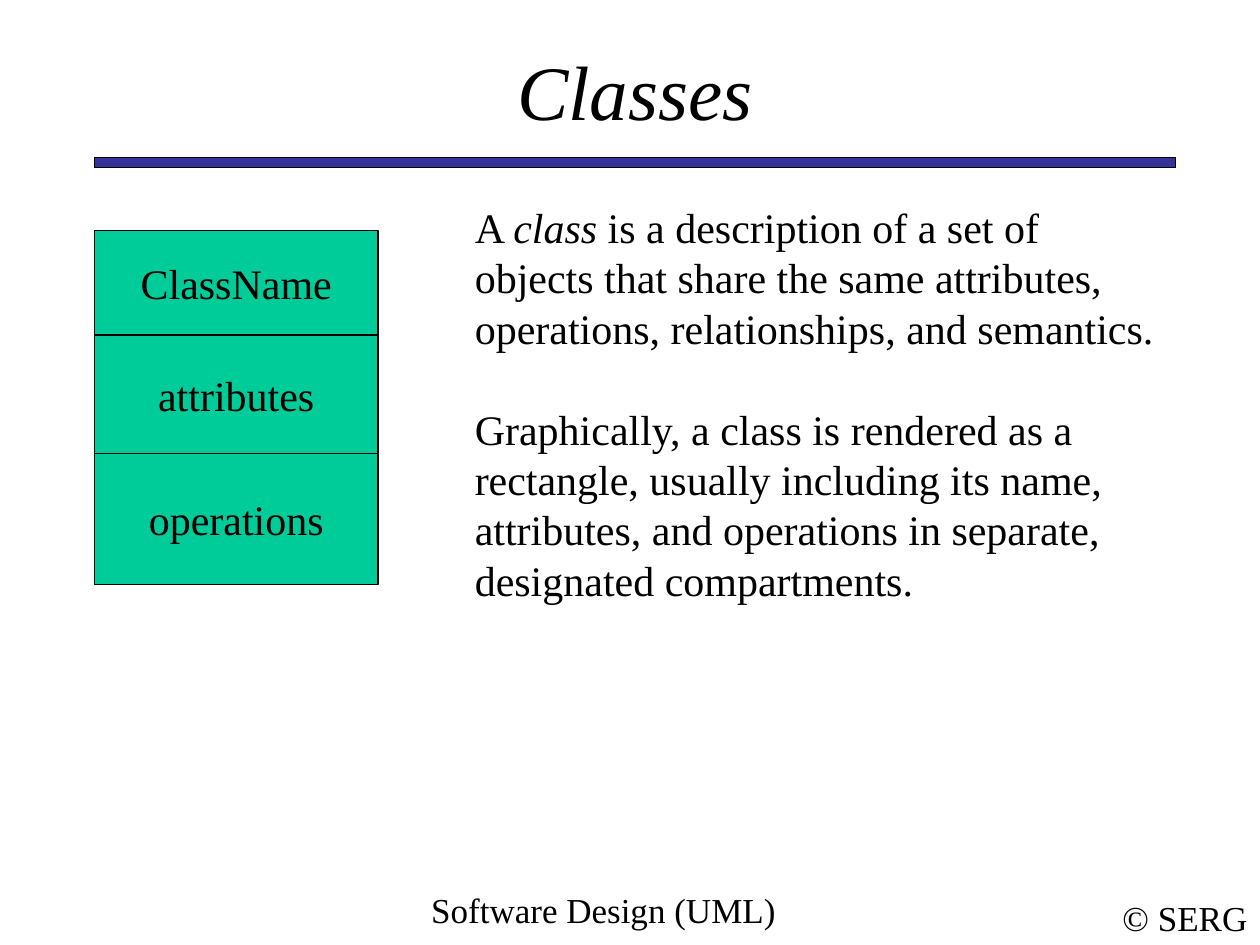
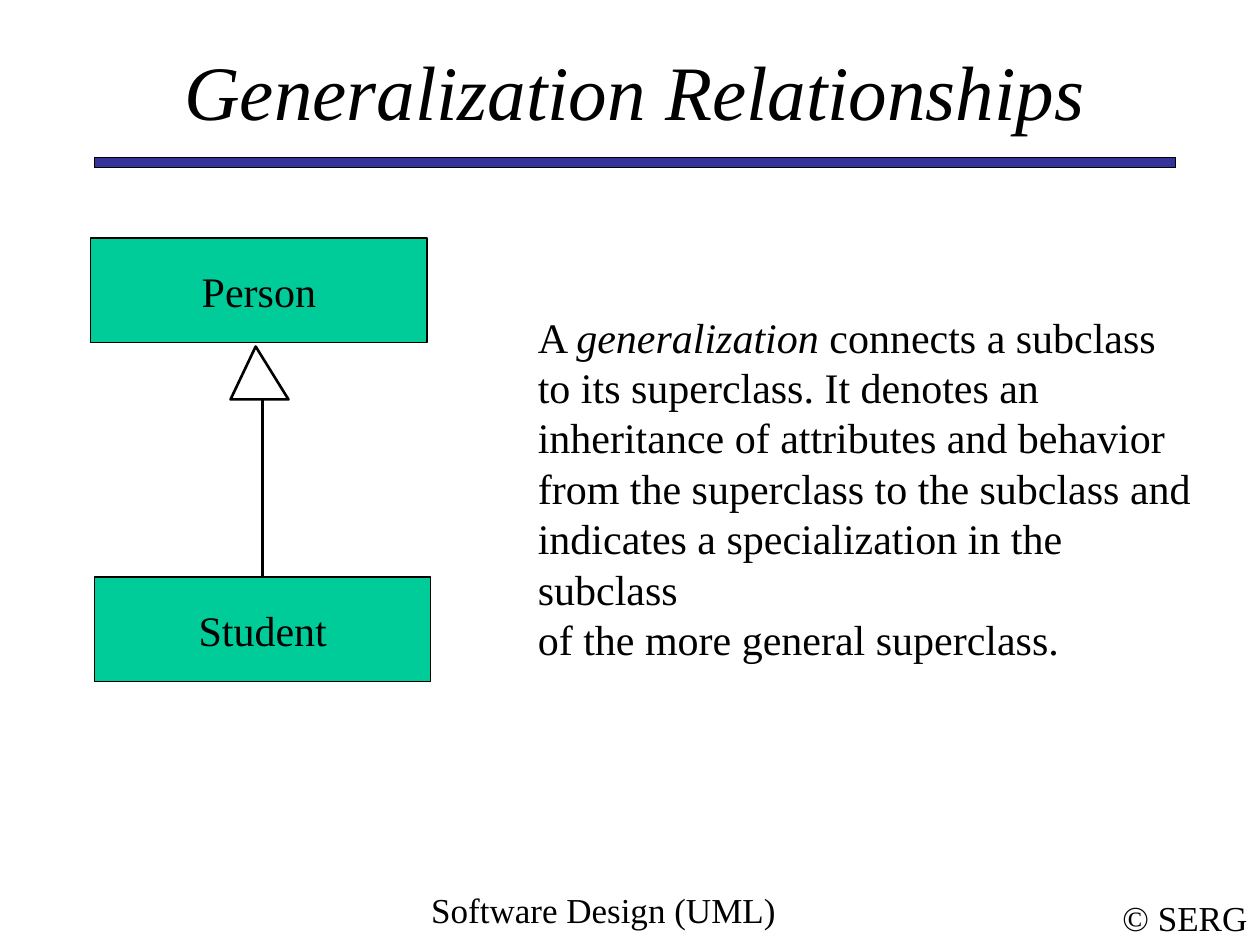
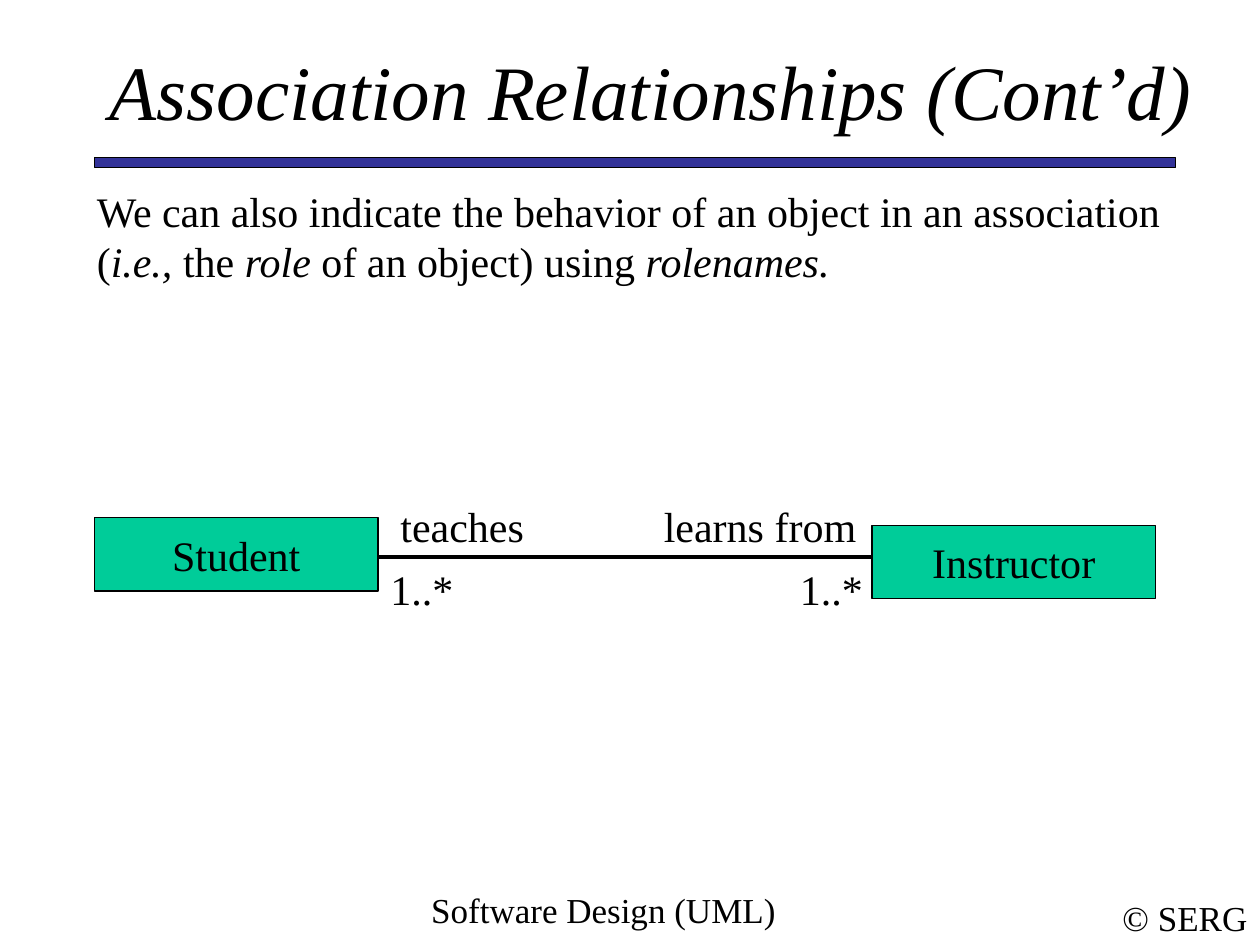
from lxml.etree import SubElement
from pptx import Presentation
from pptx.dml.color import RGBColor
from pptx.enum.shapes import MSO_CONNECTOR as Connector, MSO_SHAPE as Shape
from pptx.enum.text import MSO_ANCHOR as Anchor, MSO_AUTO_SIZE as AutoSize, PP_ALIGN as Align
from pptx.oxml.ns import qn
from pptx.util import Inches, Pt

# Shared look
FONT = "Times New Roman"
BLACK, WHITE, NAVY, GREEN = "000000", "FFFFFF", "333399", "00CC99"
TITLE_SIZE, BODY_SIZE, FOOTER_SIZE = 44, 24, 20
BLANK_LINE = 28.8
LEFT, WIDTH = 0.75, 8.58
TITLE_TOP, TITLE_HEIGHT = 0.42, 0.58
BAND = (LEFT, 1.25, WIDTH, 0.08)
COURSE = ("Software Design (UML)", (2.58, 7, 4.42, 0.5))
COPYRIGHT = ("© SERG", (8.81, 7.07, 1.19, 0.43))

# Content: _underscores_ mark italics, "" leaves a line free
CLASS_TEXT = [
    "A _class_ is a description of a set of",
    "objects that share the same attributes,",
    "operations, relationships, and semantics.",
    "",
    "Graphically, a class is rendered as a",
    "rectangle, usually including its name,",
    "attributes, and operations in separate,",
    "designated compartments.",
]
COMPARTMENTS = [("ClassName", 0.83), ("attributes", 0.94), ("operations", 1.04)]

GENERALIZATION_TEXT = [
    "A _generalization_ connects a subclass",
    "to its superclass. It denotes an",
    "inheritance of attributes and behavior",
    "from the superclass to the subclass and",
    "indicates a specialization in the subclass",
    "of the more general superclass.",
]

ROLE_TEXT = [
    "We can also indicate the behavior of an object in an association "
    "(_i.e.,_ the _role _of an object) using _rolenames._"
]
ROLES = [("Instructor", 6.92, 4.17), ("Student", LEFT, 4.11)]
ASSOCIATION_Y = 4.42
LABEL_HEIGHT = 0.5
# text, left, width, rows above the association line
ROLE_LABELS = [
    ("1..*", 6.25, 0.75, 0),
    ("1..*", 3, 0.75, 0),
    ("learns from", 5.17, 1.75, 1),
    ("teaches", 3.08, 1.25, 1),
]


def color(hex_code):
    return RGBColor.from_string(hex_code)


def inches(lengths):
    return [Inches(length) for length in lengths]


def write(frame, lines, size=BODY_SIZE, align=Align.LEFT, italic=False):
    paragraph, gap = None, 0
    for line in lines:
        if not line:
            gap += BLANK_LINE
            continue
        paragraph = frame.add_paragraph() if paragraph else frame.paragraphs[0]
        paragraph.alignment = align
        if gap:
            paragraph.space_before, gap = Pt(gap), 0
        for position, words in enumerate(line.split("_")):
            if words:
                run = paragraph.add_run()
                run.text = words
                run.font.name, run.font.size = FONT, Pt(size)
                run.font.color.rgb = color(BLACK)
                run.font.italic = italic or position % 2 == 1


def add_text(slide, lines, box, wrap=True, anchor=Anchor.TOP, **style):
    frame = slide.shapes.add_textbox(*inches(box)).text_frame
    frame.word_wrap, frame.vertical_anchor = wrap, anchor
    write(frame, lines, **style)


def paint(shape, fill, line_width=0.75):
    shape.shadow.inherit = False
    shape.fill.solid()
    shape.fill.fore_color.rgb = color(fill)
    shape.line.color.rgb = color(BLACK)
    shape.line.width = Pt(line_width)


def add_box(slide, box, fill=GREEN, label=None):
    rectangle = slide.shapes.add_shape(Shape.RECTANGLE, *inches(box))
    paint(rectangle, fill)
    if label:
        frame = rectangle.text_frame
        frame.word_wrap, frame.vertical_anchor = False, Anchor.MIDDLE
        write(frame, [label], align=Align.CENTER)
    return rectangle


def add_line(slide, start, end, width):
    line = slide.shapes.add_connector(Connector.STRAIGHT, *inches(start + end))
    line.line.color.rgb = color(BLACK)
    line.line.width = Pt(width)
    SubElement(line._element.spPr, qn("a:effectLst"))
    return line


def add_slide(deck, heading, left=LEFT, width=WIDTH):
    """Title, band and footers common to every slide."""
    slide = deck.slides.add_slide(deck.slide_layouts[5])
    add_box(slide, BAND, NAVY)
    text, box = COPYRIGHT
    add_text(slide, [text], box, wrap=False, anchor=Anchor.MIDDLE,
             size=FOOTER_SIZE, align=Align.CENTER)
    text, box = COURSE
    add_text(slide, [text], box, size=FOOTER_SIZE, align=Align.CENTER)
    title = slide.shapes.title
    title.left, title.top, title.width, title.height = inches(
        (left, TITLE_TOP, width, TITLE_HEIGHT))
    frame = title.text_frame
    frame.auto_size, frame.vertical_anchor = AutoSize.NONE, Anchor.MIDDLE
    write(frame, [heading], TITLE_SIZE, Align.CENTER, italic=True)
    return slide


def classes(deck):
    slide = add_slide(deck, "Classes")
    top = 1.83
    for label, height in COMPARTMENTS:
        add_box(slide, (LEFT, top, 2.25, height), label=label)
        top += height
    add_text(slide, CLASS_TEXT, (3.67, 1.55, 6.07, 3.3))


def generalization(deck):
    slide = add_slide(deck, "Generalization Relationships")
    add_box(slide, (0.72, 1.89, 2.67, 0.83), label="Person")
    student = add_box(slide, (LEFT, 4.58, 2.67, 0.83), label="Student")
    add_text(slide, GENERALIZATION_TEXT, (4.17, 2.42, 5.55, 2.5))

    # Inheritance arrow with a hollow head
    middle, head_base = LEFT + 2.67 / 2, 3.17
    stem = add_line(slide, (middle, 4.58), (middle, head_base), 1.5)
    stem.begin_connect(student, 0)
    apex, *base = [inches(point) for point in
                   ((2.03, 2.75), (1.83, head_base), (2.29, head_base))]
    outline = slide.shapes.build_freeform(*apex)
    outline.add_line_segments(base, close=True)
    paint(outline.convert_to_shape(), WHITE, 1.5)


def association(deck):
    slide = add_slide(deck, "Association Relationships (Cont’d)", 0.67, 9)
    add_text(slide, ROLE_TEXT, (0.67, 1.42, 8.87, 0.9))
    add_line(slide, (3, ASSOCIATION_Y), (7, ASSOCIATION_Y), 2.25)
    for role, left, top in ROLES:
        add_box(slide, (left, top, 2.25, 0.58), label=role)
    for label, left, width, rows_up in ROLE_LABELS:
        top = ASSOCIATION_Y - rows_up * LABEL_HEIGHT
        add_text(slide, [label], (left, top, width, LABEL_HEIGHT))


def main():
    deck = Presentation()
    deck.slide_width, deck.slide_height = inches((10, 7.5))
    for build in (classes, generalization, association):
        build(deck)
    deck.save("out.pptx")


if __name__ == "__main__":
    main()
